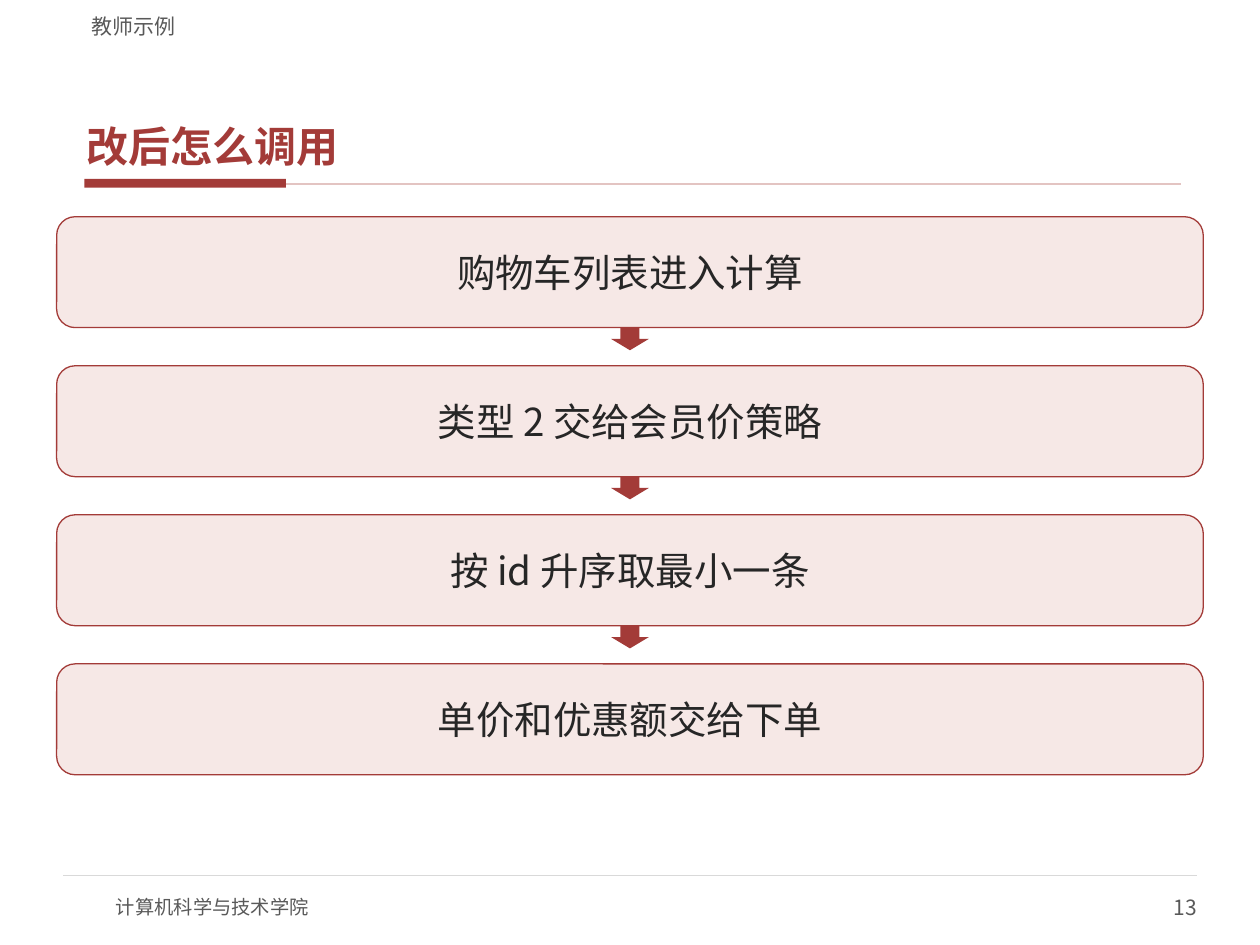
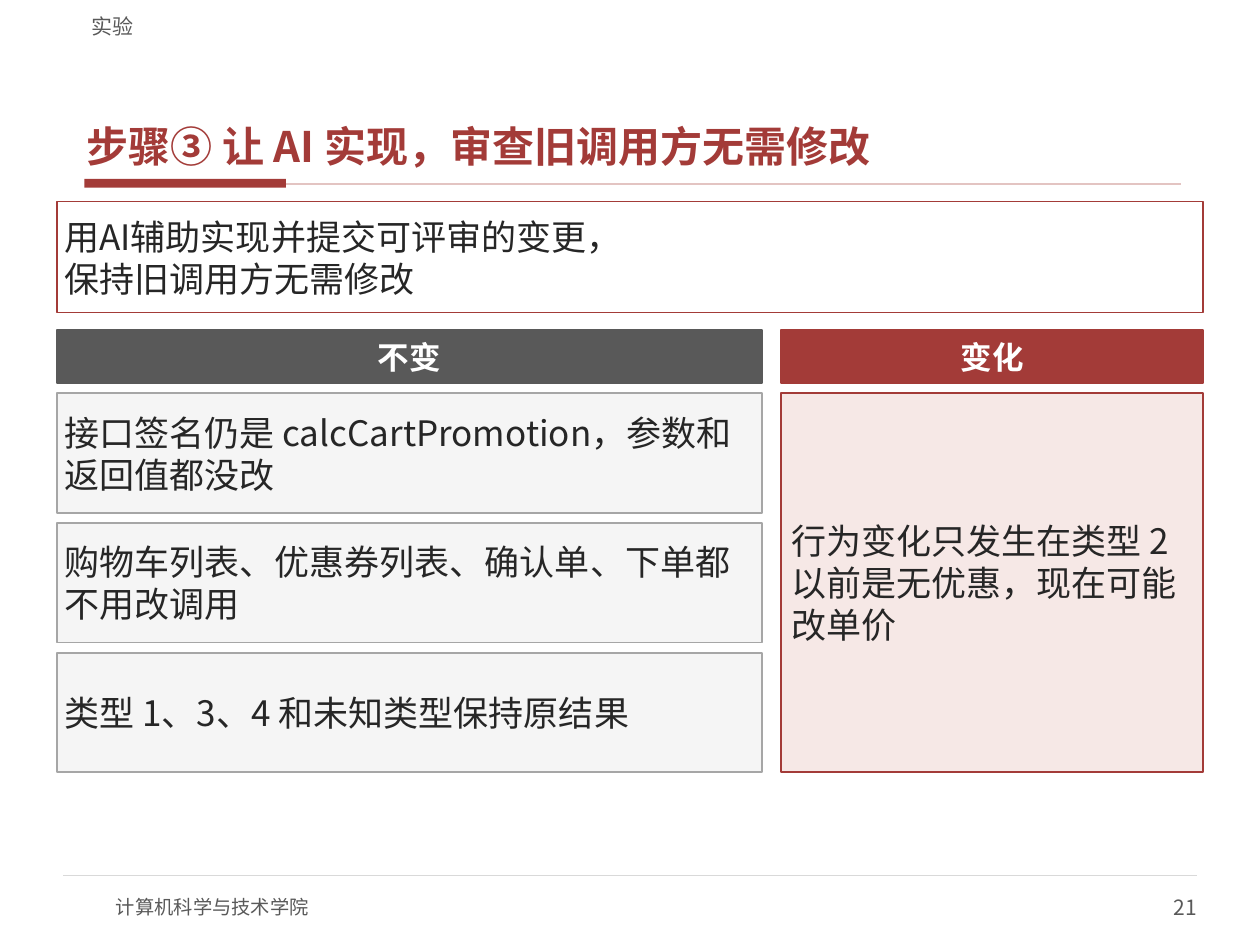
from lxml import etree
from pptx import Presentation
from pptx.dml.color import RGBColor
from pptx.enum.shapes import MSO_CONNECTOR, MSO_SHAPE
from pptx.enum.text import MSO_ANCHOR, PP_ALIGN
from pptx.oxml.ns import qn
from pptx.util import Inches, Pt

RECT, ROUND, ARROW = MSO_SHAPE.RECTANGLE, MSO_SHAPE.ROUNDED_RECTANGLE, MSO_SHAPE.DOWN_ARROW
LEFT, MID, RIGHT = PP_ALIGN.LEFT, PP_ALIGN.CENTER, PP_ALIGN.RIGHT
CENTER, BOTTOM = MSO_ANCHOR.MIDDLE, MSO_ANCHOR.BOTTOM
FONT = "Noto Sans CJK SC"
COLORS = {
    "red": "A33B38", "rose": "F6E8E6", "pink": "E3C4C2", "ink": "262626",
    "gray": "595959", "mist": "F5F5F5", "steel": "A6A6A6", "rule": "D9D9D9",
    "white": "FFFFFF",
}

# The grid has 100 columns and 75 rows of square cells.
COLS, ROWS = 100, 75
CELL = Inches(0.1)
EDGE = 4.5
FULL = COLS - 2 * EDGE


def color(name):
    return RGBColor.from_string(COLORS[name])


def box(slide, form, x, y, w, h, fill=None, line=None, weight=1, text=(), size=20,
        ink="ink", bold=False, align=LEFT, anchor=CENTER, pad=(0.06, 0.03), after=0):
    """Put a shape, or a text box if form is None, on the grid; one paragraph per text."""
    place = [round(n * CELL) for n in (x, y, w, h)]
    if form is None:
        shape = slide.shapes.add_textbox(*place)
    else:
        shape = slide.shapes.add_shape(form, *place)
        shape.shadow.inherit = False
        shape.fill.solid()
        shape.fill.fore_color.rgb = color(fill)
        if line:
            shape.line.color.rgb = color(line)
            shape.line.width = Pt(weight)
        else:
            shape.line.fill.background()
    frame = shape.text_frame
    frame.word_wrap = True
    frame.vertical_anchor = anchor
    frame.margin_left = frame.margin_right = Inches(pad[0])
    frame.margin_top = frame.margin_bottom = Inches(pad[1])
    for i, words in enumerate(text):
        para = frame.add_paragraph() if i else frame.paragraphs[0]
        para.alignment = align
        para.space_after = Pt(after)
        run = para.add_run()
        run.text = words
        run.font.size = Pt(size)
        run.font.bold = bold
        run.font.name = FONT
        run.font.color.rgb = color(ink)
        etree.SubElement(run.font._element, qn("a:ea"), typeface=FONT)


deck = Presentation()
deck.slide_width, deck.slide_height = COLS * CELL, ROWS * CELL
blank = deck.slide_layouts[6]

# Shared frame: title bar, rules, footer, title and section label
heads = [
    ("教师示例", "改后怎么调用", "13"),
    ("实验", "步骤③ 让 AI 实现，审查旧调用方无需修改", "21"),
]
pages = []
for label, title, number in heads:
    page = deck.slides.add_slide(blank)
    pages.append(page)
    box(page, RECT, 6.7, 14.2, 16, 0.7, "red")
    for start, end, row, tint, weight in (
        (22.7, 93.7, 14.6, "pink", 1),
        (5, 95, 69.5, "rule", 0.75),
    ):
        ends = [round(n * CELL) for n in (start, row, end, row)]
        rule = page.shapes.add_connector(MSO_CONNECTOR.STRAIGHT, *ends)
        rule.line.color.rgb = color(tint)
        rule.line.width = Pt(weight)
        etree.SubElement(rule._element.spPr, qn("a:effectLst"))
    box(page, None, 9.2, 70, 40, 4, text=["计算机科学与技术学院"], size=11,
        ink="gray", pad=(0, 0))
    box(page, None, 75, 70, 20, 4, text=[number], size=12, ink="gray",
        align=RIGHT, pad=(0, 0))
    box(page, None, 6.3, 3.3, 87.5, 10.5, text=[title], size=24, ink="red",
        bold=True, anchor=BOTTOM, pad=(0.06, 0.02), after=2)
    box(page, None, 6.3, 0.4, 87.5, 2.7, text=[label], size=12, ink="gray",
        anchor=BOTTOM, pad=(0.1, 0))

flow, review = pages

# Call flow: four steps joined by arrows
steps = ["购物车列表进入计算", "类型 2 交给会员价策略", "按 id 升序取最小一条", "单价和优惠额交给下单"]
TALL, PITCH = 8.8, 11.83
for i, step in enumerate(steps):
    top = 17.2 + i * PITCH
    box(flow, ROUND, EDGE, top, FULL, TALL, "rose", "red", 0.75, [step], 22,
        align=MID, pad=(0.06, 0.02), after=2)
    if i < len(steps) - 1:
        box(flow, ARROW, COLS / 2 - 1.5, top + TALL, 3, 1.8, "red")

# Review: the task, then what stays beside what changes
box(review, RECT, EDGE, 16, FULL, TALL, "white", "red",
    text=["用AI辅助实现并提交可评审的变更，", "保持旧调用方无需修改"])

WIDE, GAP = 56, 1.5
side = EDGE + WIDE + GAP
slim = FULL - WIDE - GAP
for x, w, tint, name in ((EDGE, WIDE, "gray", "不变"), (side, slim, "red", "变化")):
    box(review, RECT, x, 26.2, w, 4.2, tint, tint, text=[name], size=18,
        ink="white", bold=True, align=MID, pad=(0.08, 0.04))

kept = [
    "接口签名仍是 calcCartPromotion，参数和返回值都没改",
    "购物车列表、优惠券列表、确认单、下单都不用改调用",
    "类型 1、3、4 和未知类型保持原结果",
]
BODY, CARD, STEP = 31.2, 9.5, 10.3
for i, fact in enumerate(kept):
    box(review, RECT, EDGE, BODY + i * STEP, WIDE, CARD, "mist", "steel", text=[fact])
box(review, RECT, side, BODY, slim, 2 * STEP + CARD, "rose", "red",
    text=["行为变化只发生在类型 2", "以前是无优惠，现在可能改单价"], pad=(0.08, 0.04))

deck.save("out.pptx")
